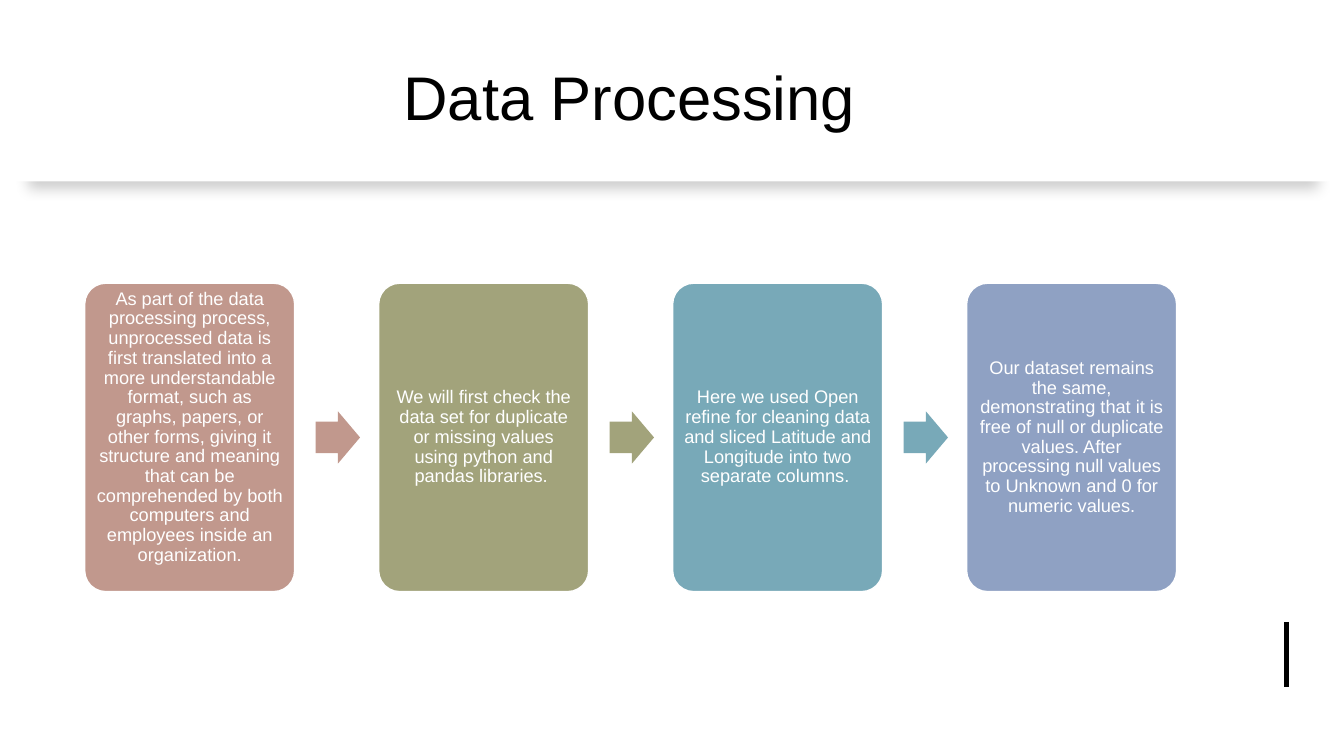
import pptx
import pptx.util
import pptx.dml.color
import pptx.enum.shapes
import pptx.enum.text
import pptx.oxml
import pptx.oxml.ns
import pptx.oxml.xmlchemy

Inches = pptx.util.Inches
Pt = pptx.util.Pt
RGBColor = pptx.dml.color.RGBColor
Shape = pptx.enum.shapes.MSO_SHAPE
Align = pptx.enum.text.PP_ALIGN
Anchor = pptx.enum.text.MSO_ANCHOR

WHITE = RGBColor(0xFF, 0xFF, 0xFF)
BLACK = RGBColor(0, 0, 0)
ROSE = RGBColor(0xC1, 0x98, 0x8D)
OLIVE = RGBColor(0xA2, 0xA3, 0x7B)
TEAL = RGBColor(0x78, 0xA9, 0xB8)
BLUE = RGBColor(0x8F, 0xA1, 0xC3)
FONT = "Arial"

STEPS = [
    (ROSE, 0, 0.2,
     "As part of the data processing process, unprocessed data is first "
     "translated into a more understandable format, such as graphs, papers, "
     "or other forms, giving it structure and meaning that can be "
     "comprehended by both computers and employees inside an organization."),
    (OLIVE, 0.05, 0.05,
     "We will first check the data set for duplicate or missing values "
     "using python and pandas libraries. "),
    (TEAL, 0.05, 0.05,
     "Here we used Open refine for cleaning data and sliced Latitude and "
     "Longitude into two separate columns. "),
    (BLUE, 0.05, 0.05,
     "Our dataset remains the same, demonstrating that it is free of null or "
     "duplicate values. After processing null values to Unknown and 0 for "
     "numeric values."),
]

SHADOW = (
    '<a:effectLst xmlns:a="http://schemas.openxmlformats.org/drawingml/2006/main">'
    '<a:outerShdw blurRad="114300" dist="63500" dir="5460000" sx="96000" '
    'algn="t" rotWithShape="0"><a:srgbClr val="000000"><a:alpha val="20000"/>'
    '</a:srgbClr></a:outerShdw></a:effectLst>'
)


def add_block(slide, kind, box, color):
    block = slide.shapes.add_shape(kind, *map(Inches, box))
    block.shadow.inherit = False
    block.fill.solid()
    block.fill.fore_color.rgb = color
    block.line.fill.background()
    return block


def write(frame, text, size, color):
    frame.word_wrap = True
    frame.vertical_anchor = Anchor.MIDDLE
    para = frame.paragraphs[0]
    para.alignment = Align.CENTER
    run = para.add_run()
    run.text = text
    run.font.name = FONT
    run.font.size = Pt(size)
    run.font.color.rgb = color
    return para


def add_header(slide, box):
    left, top, width, height = box
    band = add_block(slide, Shape.RECTANGLE, box, WHITE)
    props = band.element.spPr
    props.remove(props.find(pptx.oxml.ns.qn("a:effectLst")))
    props.append(pptx.oxml.parse_xml(SHADOW))

    title = slide.shapes.title
    title.left, title.top = Inches(left + 0.83), Inches(top + 0.32)
    title.width, title.height = Inches(width - 2.5), Inches(height - 0.53)
    write(title.text_frame, "Data Processing", 44, BLACK)
    title.element.getparent().append(title.element)


def add_card(slide, box, step):
    color, above, below, text = step
    card = add_block(slide, Shape.ROUNDED_RECTANGLE, box, color)
    card.adjustments[0] = 0.1
    card.line.color.rgb = WHITE
    card.line.width = Pt(1)
    frame = card.text_frame
    frame.margin_left = frame.margin_right = Inches(0.05)
    frame.margin_top, frame.margin_bottom = Inches(above), Inches(below)
    write(frame, text, 13, WHITE).line_spacing = 0.9


def add_flow(slide, box):
    left, top, width, height = box
    count = len(STEPS)
    wide = width / (count + 0.4 * (count - 1))
    for index, step in enumerate(STEPS):
        x = left + index * 1.4 * wide
        add_card(slide, (x, top, wide, height), step)
        if index < count - 1:
            tall = 0.52
            spot = (x + 1.1 * wide, top + (height - tall) / 2, 0.44, tall)
            arrow = add_block(slide, Shape.RIGHT_ARROW, spot, step[0])
            arrow.adjustments[0] = 0.6
            arrow.adjustments[1] = 0.5


def add_mark(slide, box):
    left, top, width, height = box
    mark = slide.shapes.add_connector(
        pptx.enum.shapes.MSO_CONNECTOR.STRAIGHT,
        Inches(left), Inches(top), Inches(left + width), Inches(top + height))
    mark.line.color.rgb = BLACK
    mark.line.width = Pt(3)
    mark.element.spPr.append(pptx.oxml.xmlchemy.OxmlElement("a:effectLst"))


def main():
    deck = pptx.Presentation()
    deck.slide_width, deck.slide_height = Inches(13.33), Inches(7.5)
    slide = deck.slides.add_slide(deck.slide_layouts[5])
    slide.background.fill.solid()
    slide.background.fill.fore_color.rgb = WHITE
    add_header(slide, (0, 0, 13.33, 1.8))
    add_mark(slide, (12.76, 6.17, 0, 0.65))
    add_flow(slide, (0.84, 2.81, 10.83, 3.06))
    deck.save("out.pptx")


if __name__ == "__main__":
    main()
